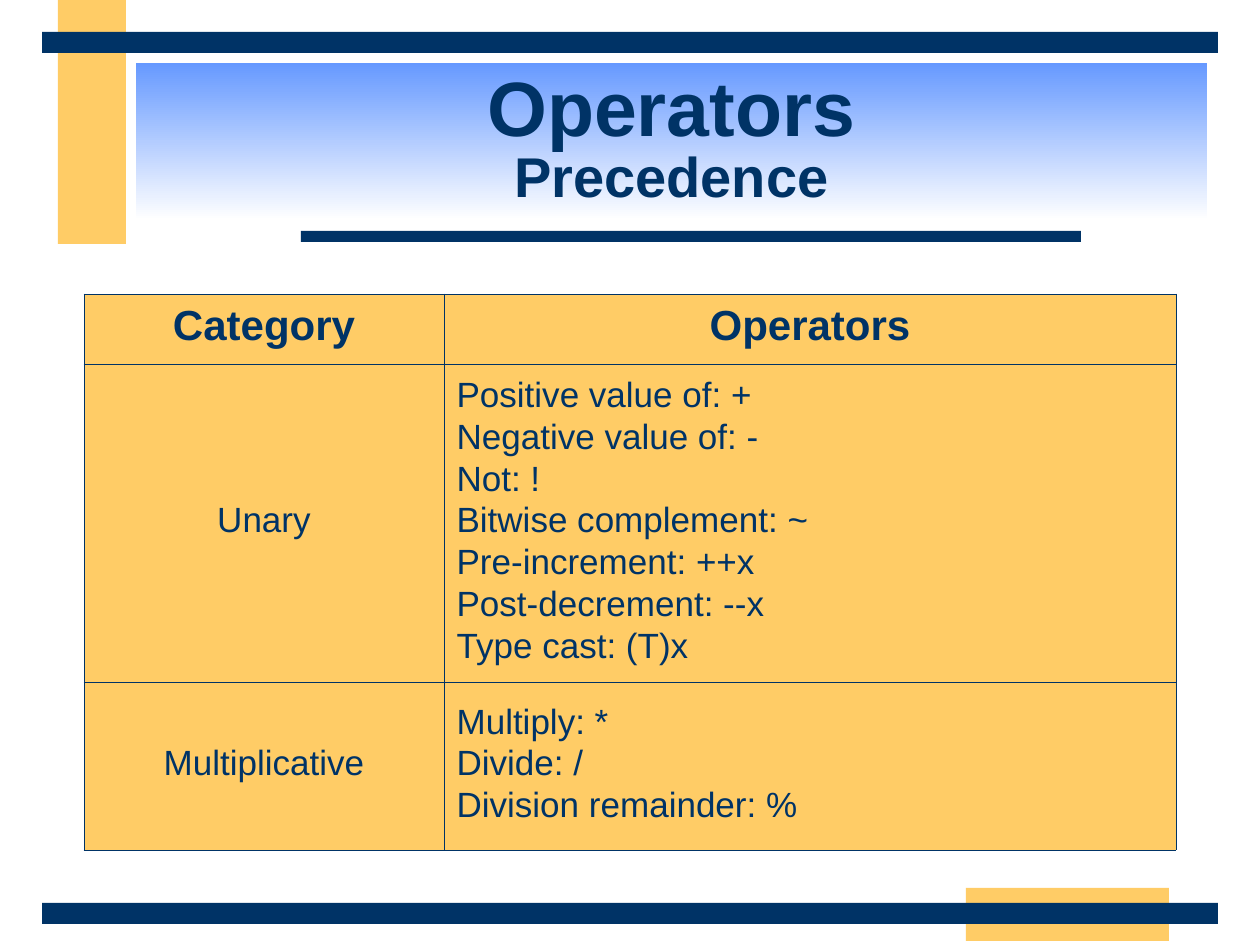
from lxml import etree
from pptx import Presentation
from pptx.dml.color import RGBColor
from pptx.enum.shapes import MSO_SHAPE
from pptx.enum.text import MSO_ANCHOR, PP_ALIGN
from pptx.oxml.ns import qn
from pptx.util import Pt

RECT = MSO_SHAPE.RECTANGLE
MIDDLE = MSO_ANCHOR.MIDDLE
LEFT, CENTER = PP_ALIGN.LEFT, PP_ALIGN.CENTER

NAVY, GOLD, BLUE, WHITE = "003366", "FFCC66", "6699FF", "FFFFFF"
FONT = "Arial"
EMU_PER_PX = 914400 / 126
LINE_SPACING = 0.85

BARS = [  # left, top, width, height, colour
    (58, 0, 68, 244, GOLD),
    (966, 888, 203, 53, GOLD),
    (301, 231, 780, 11, NAVY),
    (42, 903, 1176, 21, NAVY),
    (42, 32, 1176, 21, NAVY),
]
TITLE_BOX = (136, 63, 1071, 157)
TITLE = [("Operators", 44), ("Precedence", 32)]

TABLE_LEFT, TABLE_TOP = 84, 294
COLUMN_WIDTHS = [360, 732]
ROW_HEIGHTS = [70, 318, 168]
HEADER = ("Category", "Operators")
CATEGORIES = [
    ("Unary", [
        "Positive value of: +",
        "Negative value of: -",
        "Not: !",
        "Bitwise complement: ~",
        "Pre-increment: ++x",
        "Post-decrement: --x",
        "Type cast: (T)x",
    ]),
    ("Multiplicative", ["Multiply: *", "Divide: /", "Division remainder: %"]),
]


def px(n):
    return round(n * EMU_PER_PX)


def rgb(color):
    return RGBColor.from_string(color)


def add_rect(slide, left, top, width, height):
    s = slide.shapes.add_shape(RECT, px(left), px(top), px(width), px(height))
    s.shadow.inherit = False
    s.line.fill.background()
    return s


def set_font(font, size, bold):
    font.name = FONT
    font.size = Pt(size)
    font.bold = bold
    font.color.rgb = rgb(NAVY)


def add_title(slide):
    s = add_rect(slide, *TITLE_BOX)
    s.fill.gradient()
    s.fill.gradient_angle = 270
    for stop, color in zip(s.fill.gradient_stops, (BLUE, WHITE)):
        stop.color.rgb = rgb(color)
    tf = s.text_frame
    tf.word_wrap = True
    tf.vertical_anchor = MIDDLE
    p = tf.paragraphs[0]
    p.alignment = CENTER
    p.line_spacing = LINE_SPACING
    for i, (text, size) in enumerate(TITLE):
        if i:
            p.add_line_break()
        r = p.add_run()
        r.text = text
        set_font(r.font, size, True)


def add_borders(cell):
    """Outline all four sides; called before the fill, which must follow the lines."""
    tcPr = cell._tc.get_or_add_tcPr()
    for side in ("a:lnL", "a:lnR", "a:lnT", "a:lnB"):
        ln = etree.SubElement(tcPr, qn(side), w=str(Pt(0.45)))
        fill = etree.SubElement(ln, qn("a:solidFill"))
        etree.SubElement(fill, qn("a:srgbClr"), val=NAVY)


def fill_cell(cell, lines, size, bold, align):
    add_borders(cell)
    cell.fill.solid()
    cell.fill.fore_color.rgb = rgb(GOLD)
    cell.vertical_anchor = MIDDLE
    tf = cell.text_frame
    for i, line in enumerate(lines):
        p = tf.add_paragraph() if i else tf.paragraphs[0]
        p.text = line
        p.alignment = align
        p.line_spacing = LINE_SPACING
        if i:
            p.space_before = Pt(size / 4)
        set_font(p.font, size, bold)


def add_operator_table(slide):
    table = slide.shapes.add_table(
        len(ROW_HEIGHTS), len(COLUMN_WIDTHS), px(TABLE_LEFT), px(TABLE_TOP),
        px(sum(COLUMN_WIDTHS)), px(sum(ROW_HEIGHTS))).table
    for column, width in zip(table.columns, COLUMN_WIDTHS):
        column.width = px(width)
    for row, height in zip(table.rows, ROW_HEIGHTS):
        row.height = px(height)
    for c, heading in enumerate(HEADER):
        fill_cell(table.cell(0, c), [heading], 24, True, CENTER)
    for r, (category, operators) in enumerate(CATEGORIES, start=1):
        fill_cell(table.cell(r, 0), [category], 20, False, CENTER)
        fill_cell(table.cell(r, 1), operators, 20, False, LEFT)


def main():
    prs = Presentation()
    prs.slide_width, prs.slide_height = px(1260), px(945)
    slide = prs.slides.add_slide(prs.slide_layouts[6])
    for *box, color in BARS:
        s = add_rect(slide, *box)
        s.fill.solid()
        s.fill.fore_color.rgb = rgb(color)
    add_title(slide)
    add_operator_table(slide)
    prs.save("out.pptx")


if __name__ == "__main__":
    main()
